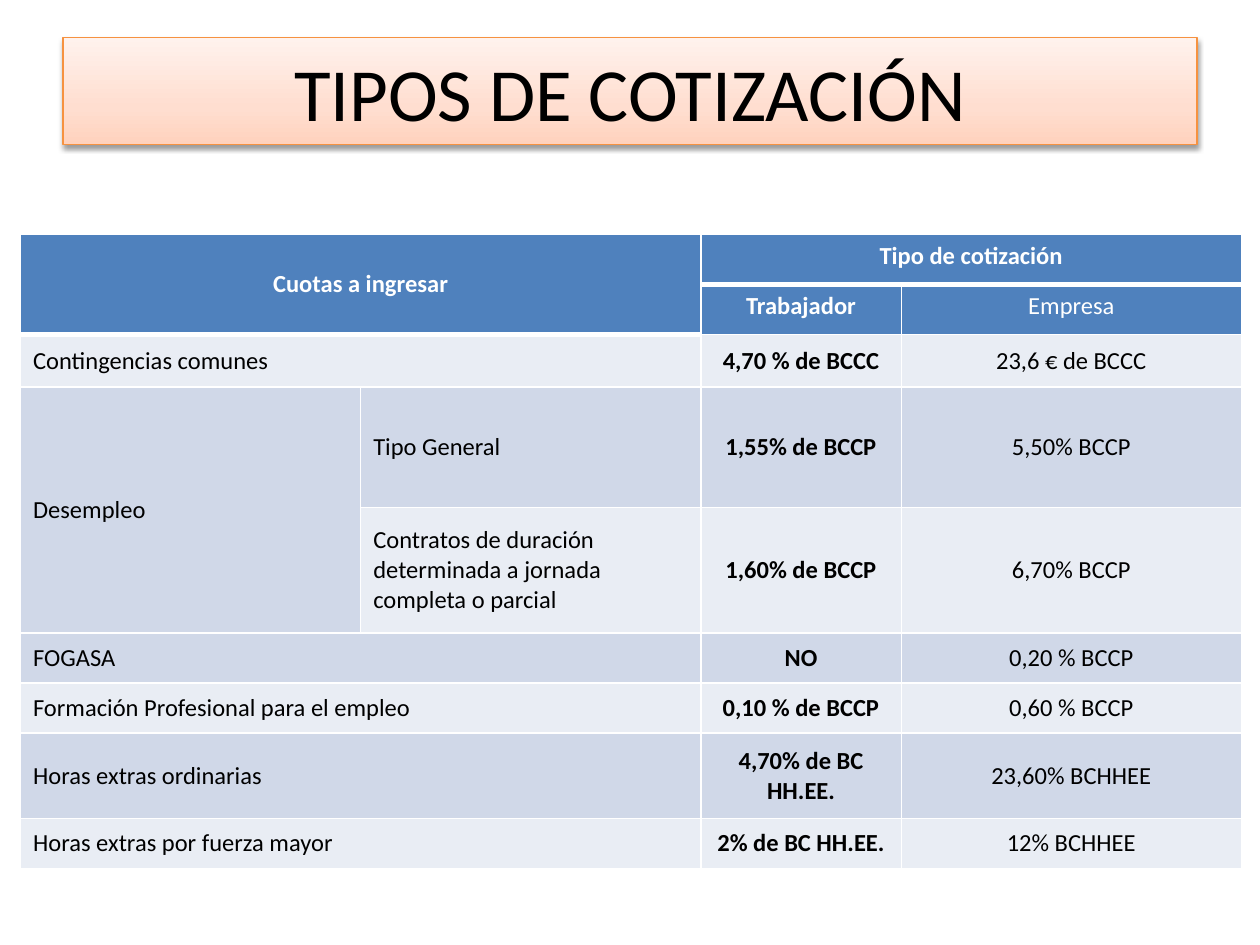
from dataclasses import dataclass

from lxml.etree import SubElement
from pptx import Presentation
from pptx.dml.color import RGBColor
from pptx.enum.text import MSO_ANCHOR, MSO_AUTO_SIZE, PP_ALIGN
from pptx.oxml import parse_xml
from pptx.oxml.ns import nsdecls, qn
from pptx.util import Pt

FONT = "Calibri"
WHITE, BLACK = "FFFFFF", "000000"
HEADER_FILL = "4F81BD"
BAND_FILLS = ("E9EDF4", "D0D8E8")
HEADER_ROWS = 2
LABEL_COLUMNS = 2

COLUMN_WIDTHS = (194.4, 194.4, 114.5, 194.4)
ROW_HEIGHTS = (28.6, 28.6, 30, 69, 71.5, 28.6, 28.6, 49, 28.6)


@dataclass
class Entry:
    row: int
    column: int
    text: str
    rows: int = 1
    columns: int = 1


@dataclass
class Rate:
    worker: str
    company: str
    label: str = ""
    subtype: str = ""
    label_rows: int = 1


HEADERS = [
    Entry(0, 0, "Cuotas a ingresar", rows=2, columns=2),
    Entry(0, 2, "Tipo de cotización", columns=2),
    Entry(1, 2, "Trabajador"),
    Entry(1, 3, "Empresa"),
]
RATES = [
    Rate("4,70 % de BCCC", "23,6 € de BCCC", "Contingencias comunes"),
    Rate("1,55% de BCCP", "5,50% BCCP", "Desempleo", "Tipo General", 2),
    Rate("1,60% de BCCP", "6,70% BCCP",
         subtype="Contratos de duración determinada a jornada completa o parcial"),
    Rate("NO", "0,20 % BCCP", "FOGASA"),
    Rate("0,10 % de BCCP", "0,60 % BCCP", "Formación Profesional para el empleo"),
    Rate("4,70% de BC HH.EE.", "23,60% BCHHEE", "Horas extras ordinarias"),
    Rate("2% de BC HH.EE.", "12% BCHHEE", "Horas extras por fuerza mayor"),
]


def color(value: str) -> RGBColor:
    return RGBColor.from_string(value)


def add_run(paragraph, text: str, size: float, font_color: str, bold: bool = False) -> None:
    run = paragraph.add_run()
    run.text = text
    run.font.name = FONT
    run.font.size = Pt(size)
    run.font.bold = bold
    run.font.color.rgb = color(font_color)


def rate_entries(rates: list[Rate]) -> list[Entry]:
    entries = []
    for row, rate in enumerate(rates, HEADER_ROWS):
        if rate.label:
            columns = 1 if rate.subtype else LABEL_COLUMNS
            entries.append(Entry(row, 0, rate.label, rate.label_rows, columns))
        if rate.subtype:
            entries.append(Entry(row, 1, rate.subtype))
        entries += [Entry(row, 2, rate.worker), Entry(row, 3, rate.company)]
    return entries


def set_borders(cell, top: float, bottom: float) -> None:
    properties = cell._tc.get_or_add_tcPr()
    for side, width in (("L", 1), ("R", 1), ("T", top), ("B", bottom)):
        line = SubElement(properties, qn(f"a:ln{side}"), w=str(Pt(width)))
        SubElement(SubElement(line, qn("a:solidFill")), qn("a:srgbClr"), val=WHITE)


def style_cell(cell, row: int, column: int) -> None:
    # A thick rule closes the label header and the first row of the rate header
    thick_row = 1 if column < LABEL_COLUMNS else 0
    last_row = row + (cell.span_height - 1 if cell.is_merge_origin else 0)
    set_borders(cell, 3 if row == thick_row + 1 else 1, 3 if last_row == thick_row else 1)
    cell.fill.solid()
    fill = HEADER_FILL if row < HEADER_ROWS else BAND_FILLS[row % 2]
    cell.fill.fore_color.rgb = color(fill)


def write_entry(table, entry: Entry) -> None:
    cell = table.cell(entry.row, entry.column)
    is_header = entry.row < HEADER_ROWS
    is_label = entry.column < LABEL_COLUMNS
    if is_label or not is_header:
        cell.vertical_anchor = MSO_ANCHOR.MIDDLE
    paragraph = cell.text_frame.paragraphs[0]
    paragraph.alignment = PP_ALIGN.LEFT if is_label and not is_header else PP_ALIGN.CENTER
    bold = entry.column == 2 or entry.row == 0
    add_run(paragraph, entry.text, 14, WHITE if is_header else BLACK, bold)


def add_rate_table(slide) -> None:
    shape = slide.shapes.add_table(
        len(ROW_HEIGHTS), len(COLUMN_WIDTHS), Pt(11.7), Pt(134),
        Pt(sum(COLUMN_WIDTHS)), Pt(sum(ROW_HEIGHTS)))
    table = shape.table
    for column, width in zip(table.columns, COLUMN_WIDTHS):
        column.width = Pt(width)
    for row, height in zip(table.rows, ROW_HEIGHTS):
        row.height = Pt(height)

    entries = HEADERS + rate_entries(RATES)
    for entry in entries:
        if entry.rows * entry.columns > 1:
            end = table.cell(entry.row + entry.rows - 1, entry.column + entry.columns - 1)
            table.cell(entry.row, entry.column).merge(end)
    for row in range(len(ROW_HEIGHTS)):
        for column in range(len(COLUMN_WIDTHS)):
            style_cell(table.cell(row, column), row, column)
    for entry in entries:
        write_entry(table, entry)


def add_title(slide, text: str) -> None:
    title = slide.shapes.title
    title.left, title.top, title.width, title.height = Pt(36), Pt(21.6), Pt(648), Pt(61.2)
    frame = title.text_frame
    frame.auto_size = MSO_AUTO_SIZE.NONE
    frame.word_wrap = True
    frame.vertical_anchor = MSO_ANCHOR.MIDDLE
    frame.paragraphs[0].alignment = PP_ALIGN.CENTER
    add_run(frame.paragraphs[0], text, 42.9, BLACK)

    # Three-stop gradient, outline and soft shadow
    stops = "".join(
        f'<a:gs pos="{position * 1000}"><a:srgbClr val="{value}"/></a:gs>'
        for position, value in ((0, "FFD2BD"), (35, "FFDED0"), (100, "FFF2ED")))
    title._element.spPr.append(parse_xml(
        f'<a:gradFill {nsdecls("a")} rotWithShape="1"><a:gsLst>{stops}</a:gsLst>'
        '<a:lin ang="16200000" scaled="0"/></a:gradFill>'))
    title.line.color.rgb = color("F69240")
    title.line.width = Pt(0.75)
    title._element.spPr.append(parse_xml(
        f'<a:effectLst {nsdecls("a")}><a:outerShdw blurRad="{Pt(3.1)}" dist="{Pt(1.6)}" '
        f'dir="5400000" rotWithShape="0"><a:srgbClr val="{BLACK}"><a:alpha val="38000"/>'
        '</a:srgbClr></a:outerShdw></a:effectLst>'))


def main() -> None:
    presentation = Presentation()
    presentation.slide_width, presentation.slide_height = Pt(720), Pt(540)
    slide = presentation.slides.add_slide(presentation.slide_layouts[5])
    add_title(slide, "TIPOS DE COTIZACIÓN")
    add_rate_table(slide)
    presentation.save("out.pptx")


if __name__ == "__main__":
    main()
